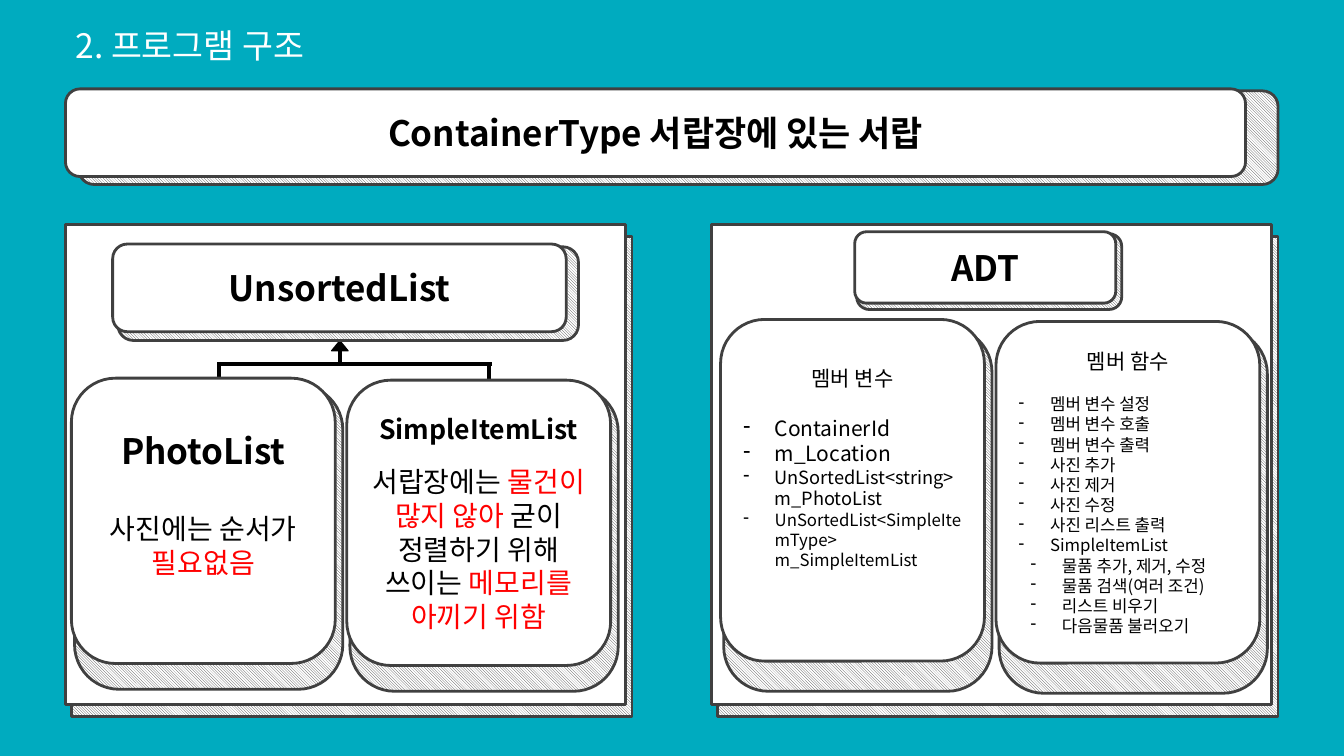
from dataclasses import dataclass, field
from typing import Any

from lxml.etree import SubElement
from pptx import Presentation
from pptx.dml.color import RGBColor
from pptx.enum.dml import MSO_PATTERN
from pptx.enum.shapes import MSO_CONNECTOR, MSO_SHAPE
from pptx.enum.text import MSO_ANCHOR, MSO_AUTO_SIZE, PP_ALIGN
from pptx.oxml.ns import qn
from pptx.util import Cm, Pt


@dataclass(frozen=True)
class Theme:
    font: str = "Noto Sans CJK KR"
    teal: RGBColor = RGBColor(0x00, 0xAB, 0xBF)
    white: RGBColor = RGBColor(0xFF, 0xFF, 0xFF)
    black: RGBColor = RGBColor(0x00, 0x00, 0x00)
    outline: RGBColor = RGBColor(0x40, 0x40, 0x40)
    accent: RGBColor = RGBColor(0xFF, 0x00, 0x00)
    title: float = 24
    heading: float = 25
    subheading: float = 19
    body: float = 20
    label: float = 15
    detail: float = 13
    small: float = 12


THEME = Theme()


@dataclass(frozen=True)
class Line:
    """One paragraph; every second piece of text takes the accent colour."""
    pieces: tuple[str, ...]
    size: float
    bold: bool = False
    before: float = 0
    bullet_at: float | None = None


@dataclass(frozen=True)
class Card:
    """A white card with a hatched card behind it; lengths in cm."""
    left: float
    top: float
    width: float
    height: float
    offset: tuple[float, float]
    growth: tuple[float, float] = (0, 0)
    outline: MSO_SHAPE = MSO_SHAPE.ROUNDED_RECTANGLE
    lines: list[Line] = field(default_factory=list)
    pad_top: float = 3.6
    pad_bottom: float = 3.6


def apply(target: Any, values: dict[str, Any]) -> None:
    for name, value in values.items():
        setattr(target, name, value)


def add_run(paragraph: Any, text: str, size: float, color: RGBColor, bold: bool = False) -> None:
    run = paragraph.add_run()
    run.text = text
    apply(run.font, {"size": Pt(size), "bold": bold, "name": THEME.font})
    run.font.color.rgb = color
    SubElement(run.font._element, qn("a:ea"), typeface=THEME.font)


def add_dash(paragraph: Any, left: float) -> None:
    hang = Cm(0.79)
    properties = paragraph._p.get_or_add_pPr()
    properties.set("marL", str(Cm(left) + hang))
    properties.set("indent", str(-hang))
    SubElement(properties, qn("a:buChar"), char="-")


def write_lines(frame: Any, lines: list[Line]) -> None:
    for index, line in enumerate(lines):
        paragraph = frame.add_paragraph() if index else frame.paragraphs[0]
        centred = line.bullet_at is None
        apply(paragraph, {
            "alignment": PP_ALIGN.CENTER if centred else PP_ALIGN.LEFT,
            "space_before": Pt(line.before),
        })
        if not centred:
            add_dash(paragraph, line.bullet_at)
        for position, piece in enumerate(line.pieces):
            add_run(paragraph, piece, line.size,
                    THEME.accent if position % 2 else THEME.black, line.bold)


def add_box(shapes: Any, kind: MSO_SHAPE, box: tuple[float, ...], fill: RGBColor,
            edge: RGBColor, weight: float) -> Any:
    shape = shapes.add_shape(kind, *map(Cm, box))
    shape.shadow.inherit = False
    shape.fill.solid()
    shape.fill.fore_color.rgb = fill
    shape.line.color.rgb = edge
    shape.line.width = Pt(weight)
    return shape


def add_card(slide: Any, card: Card) -> None:
    shapes = slide.shapes.add_group_shape().shapes
    (dx, dy), (dw, dh) = card.offset, card.growth
    behind = (card.left + dx, card.top + dy, card.width + dw, card.height + dh)
    hatched = add_box(shapes, card.outline, behind, THEME.white, THEME.outline, 2)
    hatched.fill.patterned()
    hatched.fill.pattern = MSO_PATTERN.DARK_DOWNWARD_DIAGONAL
    hatched.fill.fore_color.rgb = THEME.outline
    hatched.fill.back_color.rgb = THEME.white

    front = add_box(shapes, card.outline, (card.left, card.top, card.width, card.height),
                    THEME.white, THEME.outline, 2)
    apply(front.text_frame, {
        "word_wrap": True, "vertical_anchor": MSO_ANCHOR.MIDDLE,
        "margin_top": Pt(card.pad_top), "margin_bottom": Pt(card.pad_bottom),
    })
    write_lines(front.text_frame, card.lines)


def add_branch(slide: Any, x1: float, y1: float, x2: float, y2: float) -> None:
    branch = slide.shapes.add_connector(MSO_CONNECTOR.STRAIGHT, *map(Cm, (x1, y1, x2, y2)))
    branch.line.color.rgb = THEME.black
    branch.line.width = Pt(3)
    SubElement(branch._element.spPr, qn("a:effectLst"))


def add_title(slide: Any, text: str) -> None:
    title = slide.shapes.title
    apply(title, {"left": Cm(1.65), "top": Cm(0), "width": Cm(15.32), "height": Cm(1.63)})
    apply(title.text_frame, {"word_wrap": True, "vertical_anchor": MSO_ANCHOR.TOP,
                             "auto_size": MSO_AUTO_SIZE.NONE})
    paragraph = title.text_frame.paragraphs[0]
    apply(paragraph, {"alignment": PP_ALIGN.LEFT, "line_spacing": 1.5})
    add_run(paragraph, text, THEME.title, THEME.white)


def heading(text: str, size: float = THEME.heading) -> Line:
    return Line((text,), size, bold=True)


def dashes(texts: list[str], size: float, left: float = 0, gap: float = 0) -> list[Line]:
    return [Line((text,), size, before=0 if index else gap, bullet_at=left)
            for index, text in enumerate(texts)]


# Card contents
PHOTO = [heading("PhotoList"),
         Line(("사진에는 순서가 ", "필요없음"), THEME.body, before=28.8)]
ITEMS = [heading("SimpleItemList", THEME.subheading),
         Line(("서랍장에는 ", "물건이 많지 않아 ", "굳이 정렬하기 위해 쓰이는 ",
               "메모리를 아끼기 위함"), THEME.body, before=14.4)]
VARIABLES = [Line(("멤버 변수",), THEME.label),
             *dashes(["ContainerId", "m_Location"], THEME.label, gap=18),
             *dashes(["UnSortedList<string> m_PhotoList"], THEME.detail),
             *dashes(["UnSortedList<SimpleItemType> m_SimpleItemList"], THEME.small)]
FUNCTIONS = [Line(("멤버 함수",), THEME.label),
             *dashes(["멤버 변수 설정", "멤버 변수 호출", "멤버 변수 출력", "사진 추가",
                      "사진 제거", "사진 수정", "사진 리스트 출력", "SimpleItemList"],
                     THEME.small, gap=14.4),
             *dashes(["물품 추가, 제거, 수정", "물품 검색(여러 조건)", "리스트 비우기",
                      "다음물품 불러오기"], THEME.small, left=0.3)]

# Cards, from back to front
PANELS = [Card(left, 5.66, 14.12, 12.09, (0.16, 0.3), outline=MSO_SHAPE.RECTANGLE)
          for left in (1.65, 17.93)]
BANNER = Card(1.65, 2.24, 29.74, 2.21, (0.33, 0.05), (0.49, 0.15),
              lines=[heading("ContainerType 서랍장에 있는 서랍")])
LISTS = [Card(1.8, 9.53, 6.65, 7.19, (0.08, 0.17), (0.11, 0.48), lines=PHOTO, pad_bottom=27.6),
         Card(8.74, 9.58, 6.65, 7.19, (0.08, 0.17), (0.11, 0.48), lines=ITEMS)]
UNSORTED = Card(2.84, 6.15, 11.43, 2.21, (0.13, 0.07), (0.18, 0.15),
                lines=[heading("UnsortedList")])
MEMBERS = [Card(18.16, 8.05, 6.65, 8.61, (0.08, 0.2), (0.11, 0.56), lines=VARIABLES,
                pad_top=18, pad_bottom=50.4),
           Card(25.1, 8.1, 6.65, 8.61, (0.08, 0.2), (0.11, 0.56), lines=FUNCTIONS)]
ADT = Card(21.54, 5.84, 6.58, 1.8, (0.05, 0.05), (0.1, 0.11), lines=[heading("ADT")])

# Inheritance tree: crossbar, stem, right and left branch
BRANCHES = [(12.4, 9.17, 5.49, 9.17), (8.56, 8.36, 8.56, 9.17),
            (12.32, 9.12, 12.32, 9.93), (5.51, 9.12, 5.51, 9.93)]
ARROWHEAD = (8.36, 8.59, 0.41, 0.25)


def main() -> None:
    deck = Presentation()
    apply(deck, {"slide_width": Cm(33.87), "slide_height": Cm(19.05)})
    slide = deck.slides.add_slide(deck.slide_layouts.get_by_name("Title Only"))
    slide.background.fill.solid()
    slide.background.fill.fore_color.rgb = THEME.teal

    add_title(slide, "2. 프로그램 구조")
    for card in [*PANELS, BANNER]:
        add_card(slide, card)
    for branch in BRANCHES:
        add_branch(slide, *branch)
    for card in LISTS:
        add_card(slide, card)
    add_box(slide.shapes, MSO_SHAPE.ISOSCELES_TRIANGLE, ARROWHEAD, THEME.black, THEME.black, 1)
    for card in [UNSORTED, *MEMBERS, ADT]:
        add_card(slide, card)
    deck.save("out.pptx")


if __name__ == "__main__":
    main()
